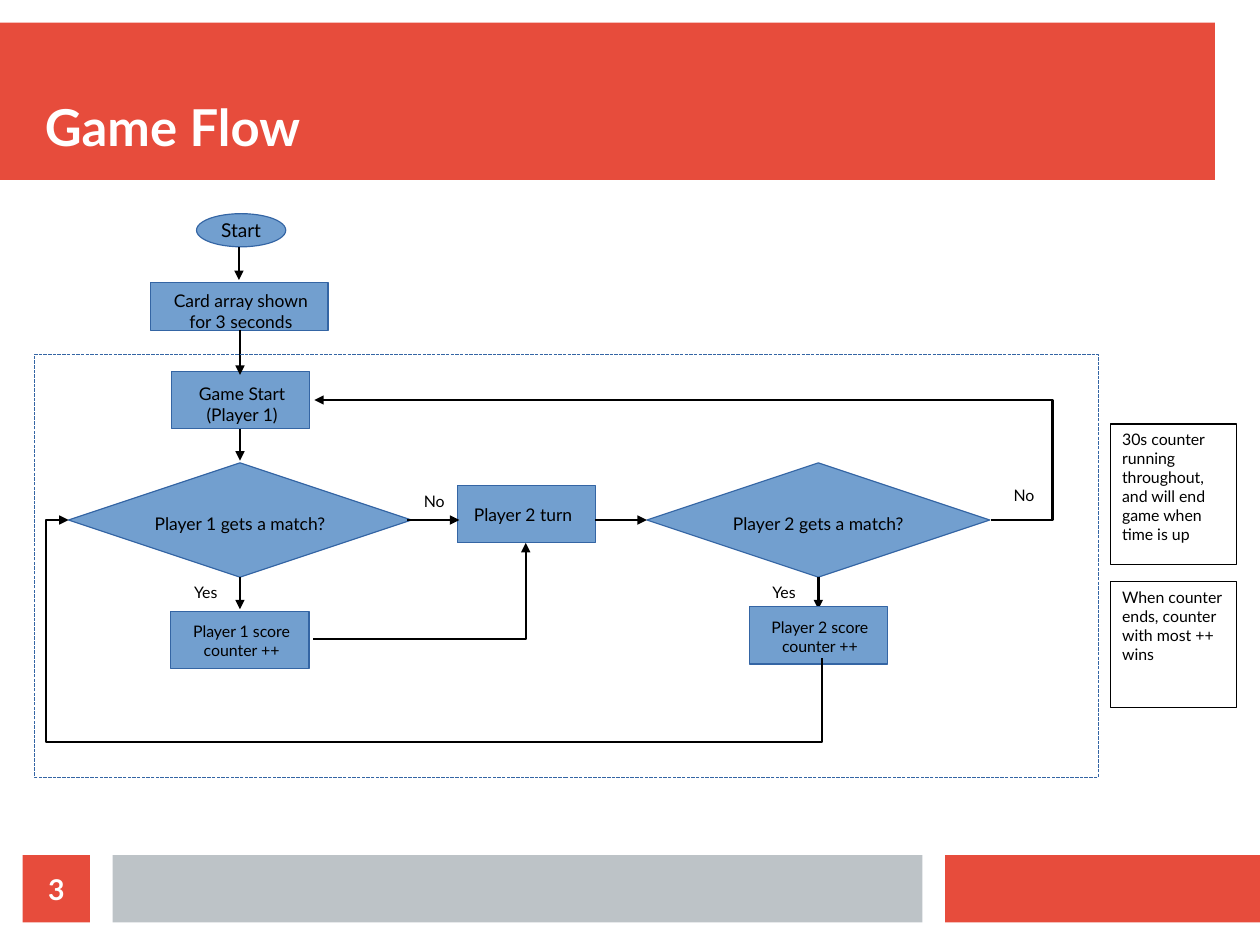
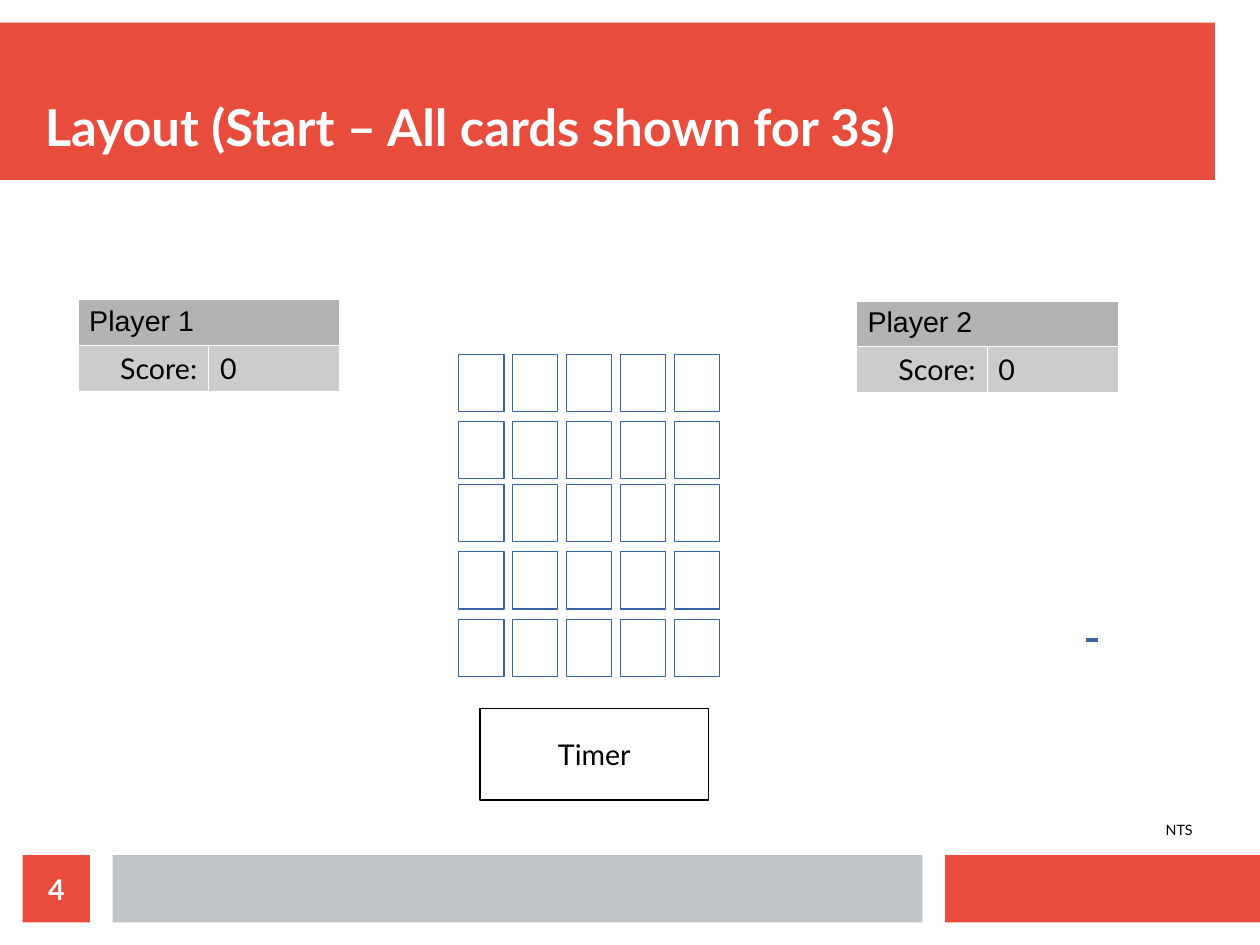
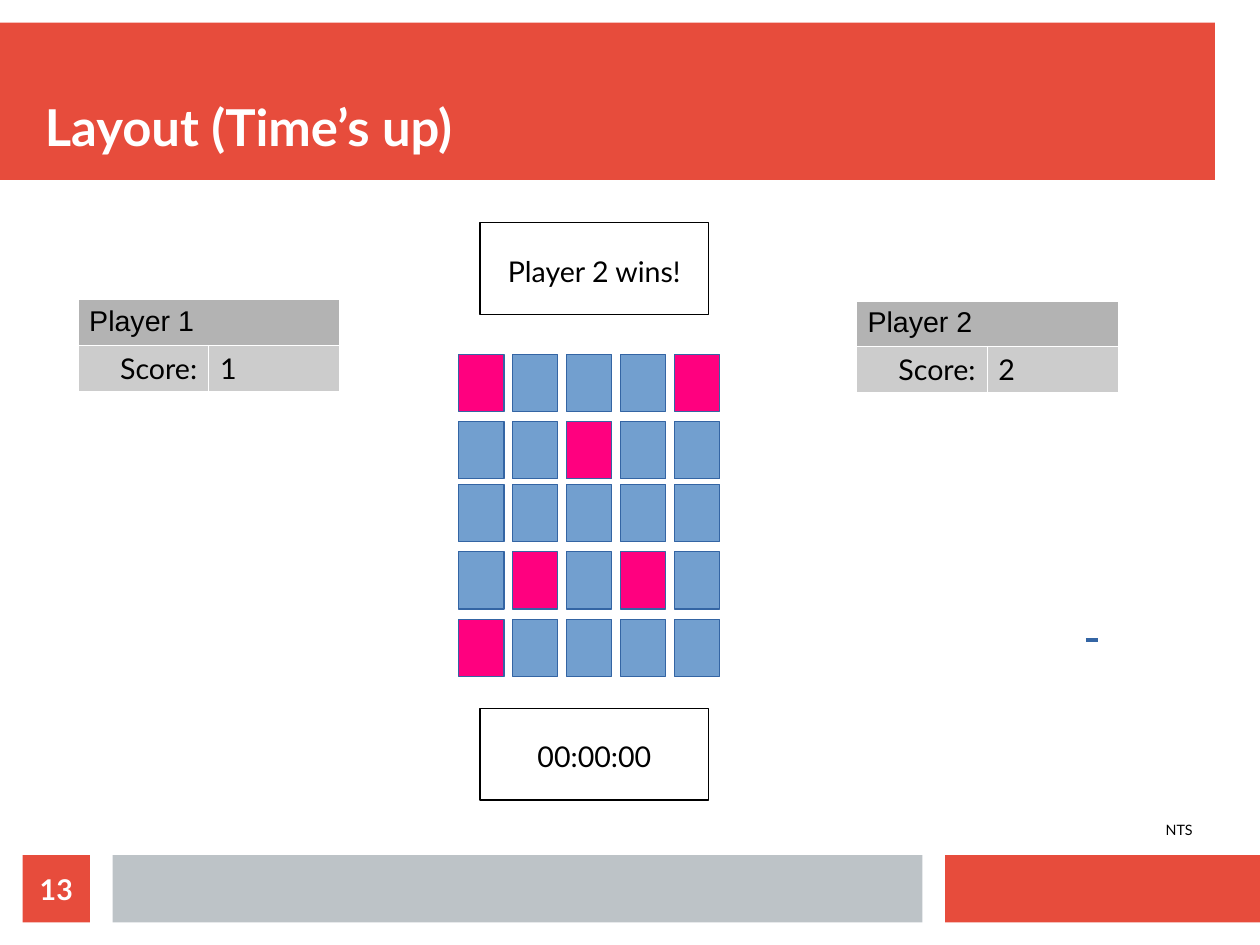
import pptx
import pptx.dml.color
import pptx.enum.dml
import pptx.enum.shapes
import pptx.enum.text
import pptx.oxml.ns
import pptx.util
from lxml import etree

Pt = pptx.util.Pt
qn = pptx.oxml.ns.qn
SHAPE = pptx.enum.shapes.MSO_SHAPE
CONNECTOR = pptx.enum.shapes.MSO_CONNECTOR
ALIGN = pptx.enum.text.PP_ALIGN
ANCHOR = pptx.enum.text.MSO_ANCHOR

SLIDE_WIDTH, SLIDE_HEIGHT = 793.7, 595.3
RED, GREY, WHITE, BLACK = "E74C3C", "BDC3C7", "FFFFFF", "000000"
BLUE, BLUE_EDGE, PINK = "729FCF", "3465A4", "FF007F"
HEADER_GREY, SCORE_GREY = "B3B3B3", "CCCCCC"
FONT = "Lato"
INSETS = (7.2, 3.6, 7.2, 3.6)
NO_INSETS = (0, 0, 0, 0)

CARD_WIDTH, CARD_HEIGHT, CARD_STEP = 28.8, 36, 34
CARD_ROW_TOPS = (0, 42.5, 82, 124.5, 167)
CARD_COLUMNS = 5
MATCHED_CARDS = {(0, 0), (0, 4), (1, 2), (3, 1), (3, 3), (4, 0)}


def color(hex_value):
    return pptx.dml.color.RGBColor.from_string(hex_value)


def points(*lengths):
    return [Pt(length) for length in lengths]


def write(frame, text, size, ink=BLACK, align=ALIGN.CENTER, anchor=ANCHOR.TOP,
          insets=INSETS, bold=False, wrap=True, font=FONT):
    frame.text = text
    frame.word_wrap = wrap
    frame.vertical_anchor = anchor
    (frame.margin_left, frame.margin_top,
     frame.margin_right, frame.margin_bottom) = points(*insets)
    for paragraph in frame.paragraphs:
        paragraph.alignment = align
        for run in paragraph.runs:
            run.font.name = font
            run.font.size = Pt(size)
            run.font.bold = bold
            run.font.color.rgb = color(ink)


def add_label(slide, box, text, size, **style):
    write(slide.shapes.add_textbox(*points(*box)).text_frame, text, size, **style)


def add_block(slide, box, fill=None, edge=None, preset=SHAPE.RECTANGLE):
    block = slide.shapes.add_shape(preset, *points(*box))
    block.shadow.inherit = False
    if fill:
        block.fill.solid()
        block.fill.fore_color.rgb = color(fill)
    else:
        block.fill.background()
    if edge:
        block.line.color.rgb = color(edge)
        block.line.width = Pt(0)
    else:
        block.line.fill.background()
    return block


def add_line(slide, start, end, ink=BLACK, width=1.5, arrow=True):
    line = slide.shapes.add_connector(CONNECTOR.STRAIGHT, *points(*start, *end))
    line.line.color.rgb = color(ink)
    line.line.width = Pt(width)
    if arrow:
        etree.SubElement(line.line._get_or_add_ln(), qn("a:tailEnd"), type="triangle")
    etree.SubElement(line._element.spPr, qn("a:effectLst"))
    return line


def add_elbow(slide, start, end, bends, adjustments=()):
    elbow = add_line(slide, start, end)
    geometry = elbow._element.spPr.find(qn("a:prstGeom"))
    geometry.set("prst", f"bentConnector{bends + 1}")
    guides = geometry.find(qn("a:avLst"))
    if guides is None:
        guides = etree.SubElement(geometry, qn("a:avLst"))
    for number, share in enumerate(adjustments, 1):
        etree.SubElement(guides, qn("a:gd"), name=f"adj{number}",
                         fmla=f"val {round(share * 100000)}")
    return elbow


def turn_downward(elbow):
    across, down = elbow.width, elbow.height
    elbow.left += (across - down) // 2
    elbow.top += (down - across) // 2
    elbow.width, elbow.height = down, across
    transform = elbow._element.spPr.find(qn("a:xfrm"))
    transform.set("rot", str(270 * 60000))
    transform.set("flipH", "0")
    transform.set("flipV", "1")


def add_step(slide, box, text, size, inset_top, shift=1):
    step = add_block(slide, box, BLUE, BLUE_EDGE)
    write(step.text_frame, text, size,
          insets=(7.2 + shift, inset_top, 7.2 - shift, 0))


def add_branch(slide, left, top, player, score_top):
    decision = add_block(slide, (left, top, 216, 72), BLUE, BLUE_EDGE, SHAPE.DIAMOND)
    write(decision.text_frame, f"Player {player} gets a match?", 11,
          anchor=ANCHOR.MIDDLE, insets=(0, 4, 0, 0), wrap=False)
    add_label(slide, (left + 64.8, top + 72, 43.2, 21), "Yes", 10)
    add_line(slide, (left + 108, top + 72), (left + 108, top + 92.2))
    add_step(slide, (left + 64.4, top + score_top, 87.1, 36),
             f"Player {player} score counter ++", 10, 6.5)


def add_flow(slide, left, top):
    def at(x, y, *size):
        return (left + x, top + y, *size)

    start = add_block(slide, at(102.2, 0, 56.2, 20.9), BLUE, BLUE_EDGE, SHAPE.OVAL)
    write(start.text_frame, "Start", 12, anchor=ANCHOR.MIDDLE, wrap=False)
    add_step(slide, at(73.4, 43.2, 111.6, 30.2), "Card array shown for 3 seconds", 11, 5)
    add_step(slide, at(86.4, 99.4, 87.1, 36), "Game Start\n(Player 1)", 11, 7.2)
    add_branch(slide, *at(21.6, 157), player=1, score_top=93.6)
    add_step(slide, at(266.4, 171.4, 87.1, 36), "Player 2 turn", 11, 11.5, shift=-2)
    add_branch(slide, *at(385.9, 157), player=2, score_top=90.7)

    for tail, head in (((128.9, 21.2), (128.9, 41.8)),
                       ((129.6, 73.5), (129.6, 101.6)),
                       ((129.6, 135.4), (129.6, 155.6)),
                       ((234.7, 193), (267.8, 193)),
                       ((353.5, 193), (385.9, 193))):
        add_line(slide, at(*tail), at(*head))
    for x, y in ((230.4, 171.4), (601.9, 167.8)):
        add_label(slide, at(x, y, 43.2, 21), "No", 10)

    add_elbow(slide, at(175.7, 267.9), at(309.6, 207.4), 1)
    add_elbow(slide, at(602.6, 193), at(176.4, 117.4), 2, (-0.091,))
    turn_downward(add_elbow(slide, at(496.1, 280.1), at(21.6, 193), 3, (-0.605, 1.03)))

    game_loop = add_block(slide, at(0, 88.6, 670.3, 266.4), edge=BLUE_EDGE)
    game_loop.line.dash_style = pptx.enum.dml.MSO_LINE.SQUARE_DOT


def add_notes_column(slide, left, top):
    for offset, height, text in (
            (0, 88.6, "30s counter running throughout, and will end game when time is up"),
            (99.4, 79.2, "When counter ends, counter with most ++ wins")):
        rule = add_block(slide, (left, top + offset, 79.2, height), edge=BLACK)
        write(rule.text_frame, text, 10, align=ALIGN.LEFT)


def add_cards(slide, left, top, fill, matched=()):
    for row, row_top in enumerate(CARD_ROW_TOPS):
        for column in range(CARD_COLUMNS):
            box = (left + column * CARD_STEP, top + row_top, CARD_WIDTH, CARD_HEIGHT)
            add_block(slide, box, PINK if (row, column) in matched else fill, BLUE_EDGE)


def style_cell(cell, fill):
    properties = cell._tc.get_or_add_tcPr()
    for side in ("lnL", "lnR", "lnT", "lnB"):
        border = etree.SubElement(properties, qn(f"a:{side}"), w="762")
        paint = etree.SubElement(border, qn("a:solidFill"))
        etree.SubElement(paint, qn("a:srgbClr"), val=WHITE)
    cell.fill.solid()
    cell.fill.fore_color.rgb = color(fill)


def add_score(slide, left, top, player, score):
    board = slide.shapes.add_table(2, 2, *points(left, top, 164.8, 54.8)).table
    board.first_row = board.horz_banding = False
    for row, fill in enumerate((HEADER_GREY, SCORE_GREY)):
        for column in range(2):
            style_cell(board.cell(row, column), fill)
    board.cell(0, 0).merge(board.cell(0, 1))
    for row, column, text, align, font in (
            (0, 0, f"Player {player}", ALIGN.LEFT, "Arial"),
            (1, 0, "Score:", ALIGN.RIGHT, FONT),
            (1, 1, str(score), ALIGN.LEFT, FONT)):
        cell = board.cell(row, column)
        cell.text = text
        paragraph = cell.text_frame.paragraphs[0]
        paragraph.alignment = align
        run_font = paragraph.runs[0].font
        run_font.name = font
        run_font.size = Pt(18)
        run_font.color.rgb = color(BLACK)


def add_display(slide, left, top, text, inset_top):
    display = add_block(slide, (left, top, 144, 57.6), edge=BLACK)
    write(display.text_frame, text, 18, insets=(7.2, inset_top, 7.2, 0))


def add_slide(deck, title, number):
    slide = deck.slides.add_slide(deck.slide_layouts[6])
    add_block(slide, (0, 14.2, 765.4, 99.2), RED)
    for left, width, fill in ((595.3, SLIDE_WIDTH - 595.3, RED), (70.9, 510.2, GREY)):
        add_block(slide, (left, 538.6, width, 42.5), fill)
    add_label(slide, (28.3, 28.3, 737, 70.6), title, 32, ink=WHITE, align=ALIGN.LEFT,
              anchor=ANCHOR.BOTTOM, insets=NO_INSETS, bold=True)
    badge = add_block(slide, (14.2, 538.6, 42.5, 42.5), RED)
    write(badge.text_frame, str(number), 18, ink=WHITE, anchor=ANCHOR.MIDDLE,
          insets=NO_INSETS, bold=True)
    return slide


def add_game_slide(deck, title, number, scores, timer, timer_inset, card_fill, matched=()):
    slide = add_slide(deck, title, number)
    add_cards(slide, 288.7, 223.2, card_fill, matched)
    add_label(slide, (727.2, 514.1, 57.6, 19.4), "NTS", 9, align=ALIGN.LEFT)
    for player, (left, top) in enumerate(((49, 188.6), (539.3, 189.4)), 1):
        add_score(slide, left, top, player, scores[player - 1])
    add_display(slide, 302.4, 446.4, timer, timer_inset)
    add_line(slide, (684, 403.2), (691.6, 403.2), BLUE_EDGE, 0, arrow=False)
    return slide


def main():
    deck = pptx.Presentation()
    deck.slide_width, deck.slide_height = points(SLIDE_WIDTH, SLIDE_HEIGHT)

    flow = add_slide(deck, "Game Flow", 3)
    add_flow(flow, 21.6, 134.6)
    add_notes_column(flow, 699.8, 267.1)

    add_game_slide(deck, "Layout (Start – All cards shown for 3s)", 4, (0, 0),
                   "Timer", 18, WHITE)
    finish = add_game_slide(deck, "Layout (Time’s up)", 13, (1, 2),
                            "00:00:00", 19.4, BLUE, MATCHED_CARDS)
    add_display(finish, 302.4, 140.4, "Player 2 wins!", 19.4)

    deck.save("out.pptx")


if __name__ == "__main__":
    main()
